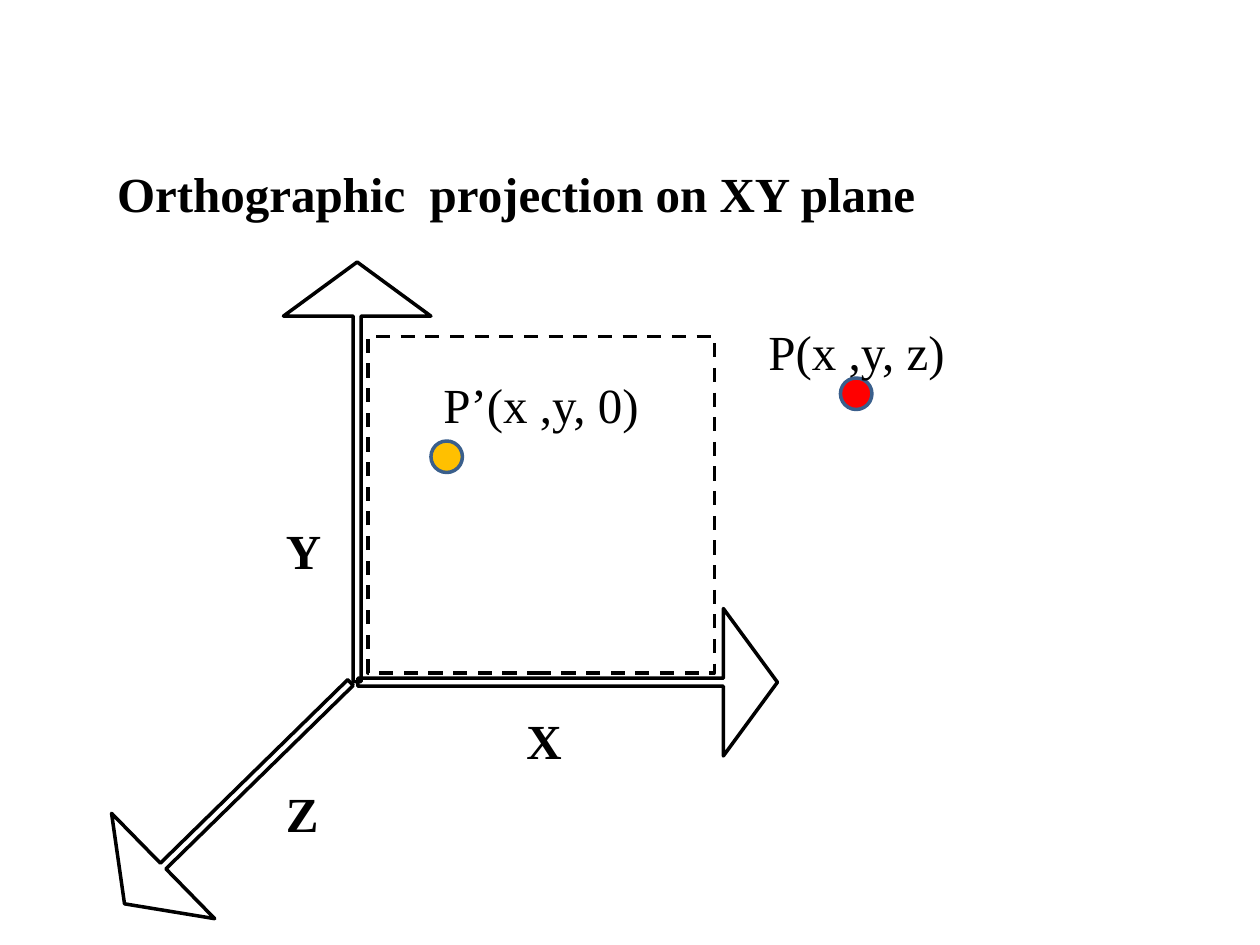
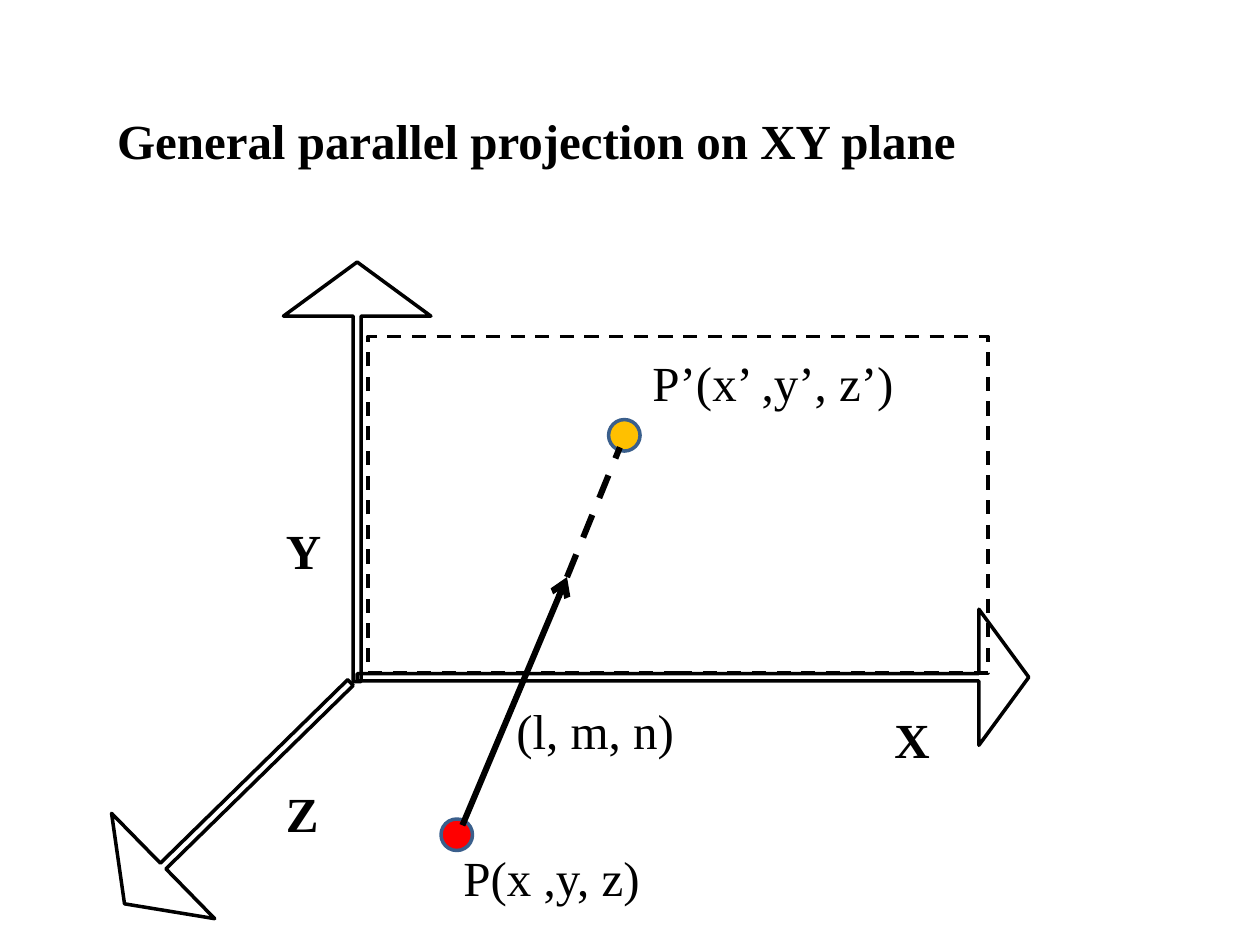
from dataclasses import dataclass

from pptx import Presentation
from pptx.dml.color import RGBColor
from pptx.enum.dml import MSO_LINE
from pptx.enum.shapes import MSO_CONNECTOR, MSO_SHAPE
from pptx.enum.text import MSO_ANCHOR, MSO_AUTO_SIZE, PP_ALIGN
from pptx.oxml import parse_xml
from pptx.oxml.ns import nsdecls
from pptx.util import Inches, Pt


@dataclass(frozen=True)
class Theme:
    """Colours, font, sizes and line widths shared by the slides."""

    ink: str = "000000"
    rim: str = "3A5F8C"
    source_point: str = "FF0000"
    projected_point: str = "FFC000"
    font: str = "Times New Roman"
    text_size: float = 28
    outline: float = 2
    ray: float = 3.5


THEME = Theme()
TEXT_HEIGHT = 0.57
POINT_SIZE = 0.25
PLANE_CORNER = (2.92, 2.67)
PLANE_HEIGHT = 2.67
Y_AXIS = (2.25, 2.08, 1.17, 3.33)
Z_AXIS = (1.3, 5.04, 1.17, 2.51)
Z_ROTATION = 225.6


def write_text(frame, text, size=THEME.text_size, bold=False, color=THEME.ink):
    """Fill a text frame with one left-aligned line."""
    frame.word_wrap = True
    frame.auto_size = MSO_AUTO_SIZE.SHAPE_TO_FIT_TEXT
    frame.vertical_anchor = MSO_ANCHOR.TOP
    paragraph = frame.paragraphs[0]
    paragraph.alignment = PP_ALIGN.LEFT
    run = paragraph.add_run()
    run.text = text
    run.font.name = THEME.font
    run.font.size = Pt(size)
    run.font.bold = bold
    run.font.color.rgb = RGBColor.from_string(color)


def add_label(slide, text, left, top, width, **text_format):
    """Place a text label."""
    box = slide.shapes.add_textbox(*map(Inches, (left, top, width, TEXT_HEIGHT)))
    write_text(box.text_frame, text, **text_format)


def style_line(line, color=THEME.ink, width=THEME.outline, dashed=False):
    """Set a line's colour, width and dash."""
    line.color.rgb = RGBColor.from_string(color)
    line.width = Pt(width)
    if dashed:
        line.dash_style = MSO_LINE.DASH


def add_outline(slide, preset, bounds, fill=None, **line_format):
    """Add a preset shape, hollow unless a fill is given."""
    shape = slide.shapes.add_shape(preset, *map(Inches, bounds))
    shape.shadow.inherit = False
    if fill:
        shape.fill.solid()
        shape.fill.fore_color.rgb = RGBColor.from_string(fill)
    else:
        shape.fill.background()
    style_line(shape.line, **line_format)
    return shape


def add_axis(slide, bounds, rotation=0):
    """Add a thin block arrow for one axis."""
    axis = add_outline(slide, MSO_SHAPE.UP_ARROW, bounds)
    axis.adjustments[0] = 0.054
    axis.adjustments[1] = 0.367
    axis.rotation = rotation


def add_point(slide, left, top, fill):
    """Add a round marker for a point."""
    bounds = (left, top, POINT_SIZE, POINT_SIZE)
    add_outline(slide, MSO_SHAPE.OVAL, bounds, fill=fill, color=THEME.rim)


def add_ray(slide, start, end, dashed=False, arrow=False):
    """Draw one stretch of the projection ray."""
    ray = slide.shapes.add_connector(
        MSO_CONNECTOR.STRAIGHT, *map(Inches, (*start, *end))
    )
    style_line(ray.line, width=THEME.ray, dashed=dashed)
    if arrow:
        tail = parse_xml(f'<a:tailEnd {nsdecls("a")} type="arrow"/>')
        ray.line._get_or_add_ln().append(tail)
    ray._element.spPr.append(parse_xml(f'<a:effectLst {nsdecls("a")}/>'))


def add_projection_slide(deck, title, title_top, x_axis, x_label, plane_width,
                         source_point, projected_point):
    """Add a slide with title, axes, projection plane and both points."""
    slide = deck.slides.add_slide(deck.slide_layouts[5])
    heading = slide.shapes.title
    heading.left, heading.top = Inches(0.83), Inches(title_top)
    heading.width, heading.height = Inches(7.5), Inches(TEXT_HEIGHT)
    write_text(heading.text_frame, title, bold=True)

    add_axis(slide, Y_AXIS)
    add_axis(slide, x_axis, 90)
    add_axis(slide, Z_AXIS, Z_ROTATION)
    plane = (*PLANE_CORNER, plane_width, PLANE_HEIGHT)
    add_outline(slide, MSO_SHAPE.RECTANGLE, plane, dashed=True)
    add_point(slide, *source_point, THEME.source_point)
    add_point(slide, *projected_point, THEME.projected_point)
    for name, position in (("X", x_label), ("Y", (2.17, 4.08)), ("Z", (2.17, 6.17))):
        add_label(slide, name, *position, 0.5, bold=True)
    return slide


def add_orthographic_slide(deck):
    """Show a point projected straight onto the XY plane."""
    slide = add_projection_slide(
        deck, "Orthographic  projection on XY plane", title_top=1.25,
        x_axis=(3.92, 3.75, 1.17, 3.33), x_label=(4.08, 5.59), plane_width=2.75,
        source_point=(6.67, 3), projected_point=(3.42, 3.5),
    )
    add_label(slide, "P’(x ,y, 0)", 3.42, 2.92, 1.92)
    add_label(slide, "P(x ,y, z)", 6, 2.5, 1.75)


def add_parallel_slide(deck):
    """Show a point projected along a direction onto the XY plane."""
    slide = add_projection_slide(
        deck, "General parallel projection on XY plane", title_top=0.83,
        x_axis=(4.96, 2.71, 1.08, 5.33), x_label=(7, 5.58), plane_width=4.92,
        source_point=(3.5, 6.5), projected_point=(4.83, 3.33),
    )
    add_label(slide, "P’(x’ ,y’, z’)", 5.08, 2.75, 2.25)
    add_label(slide, "P(x ,y, z)", 3.58, 6.68, 1.75)
    direction_tip = (4.5, 4.58)
    add_ray(slide, (3.67, 6.55), direction_tip, arrow=True)
    add_ray(slide, direction_tip, (4.92, 3.55), dashed=True)
    add_label(slide, "(l, m, n)", 4, 5.51, 1.58)


def main():
    """Build and save the two slides."""
    deck = Presentation()
    deck.slide_width, deck.slide_height = Inches(10), Inches(7.5)
    add_orthographic_slide(deck)
    add_parallel_slide(deck)
    deck.save("out.pptx")


if __name__ == "__main__":
    main()
